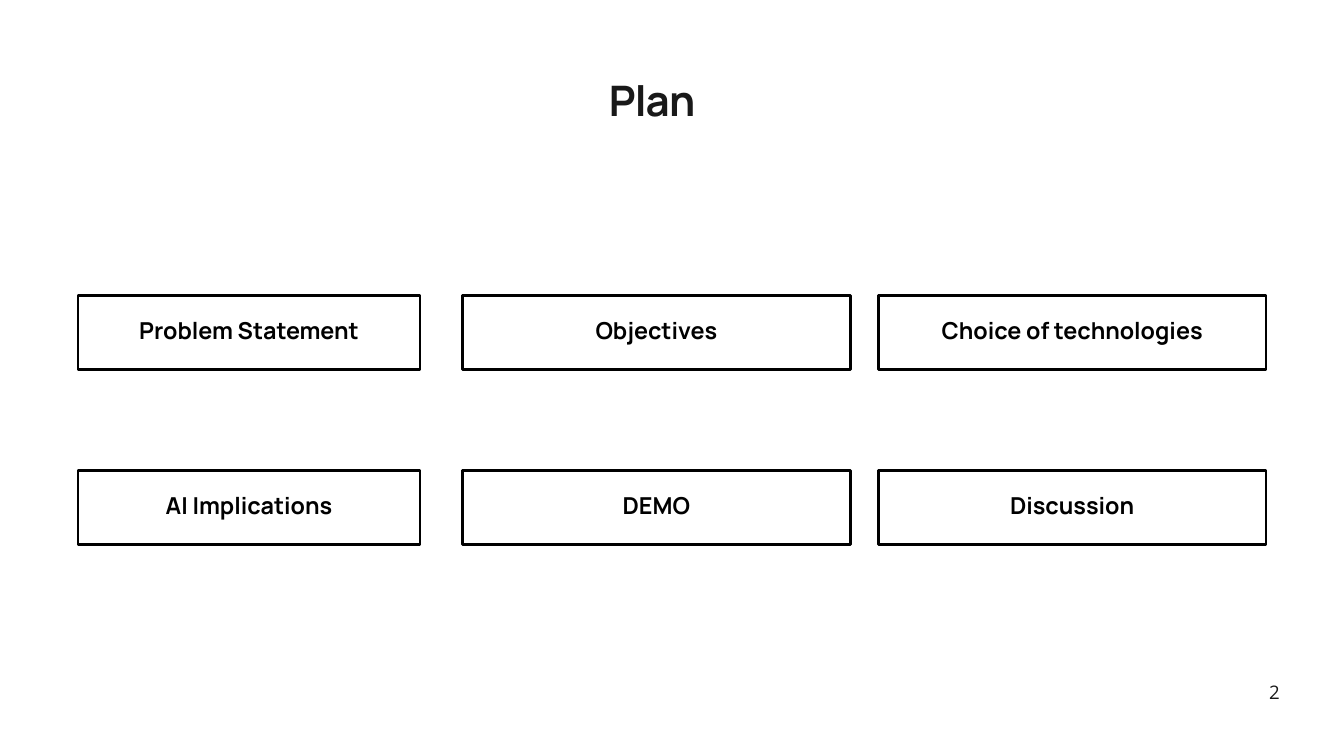
import pptx
import pptx.util
import pptx.dml.color
import pptx.enum.shapes
import pptx.enum.text

Pt = pptx.util.Pt
RGBColor = pptx.dml.color.RGBColor
PP_ALIGN = pptx.enum.text.PP_ALIGN
MSO_ANCHOR = pptx.enum.text.MSO_ANCHOR

# Content
TITLE = "Plan"
PAGE_NUMBER = "2"
TOPICS = [
    ["Problem Statement", "Objectives", "Choice of technologies"],
    ["AI Implications", "DEMO", "Discussion"],
]

# Layout, in points
COLUMNS = [(83.5, 366.5), (495.5, 415.5), (941, 415.5)]  # left, width
FIRST_ROW_TOP = 316.8
ROW_STEP = 187.2
BOX_HEIGHT = 79.2
BOX_INSET = 4.5
TEXT_LIFT = 5.7  # extra bottom inset that raises the box labels

DARK = RGBColor(0x19, 0x19, 0x19)
BLACK = RGBColor(0, 0, 0)


def set_text(sp, text, font, size, color, line, bold=False, align=PP_ALIGN.CENTER,
             insets=(0, 0, 0, 0), wrap=True):
    tf = sp.text_frame
    tf.text = text
    tf.word_wrap = wrap
    tf.margin_left, tf.margin_top, tf.margin_right, tf.margin_bottom = map(Pt, insets)
    p = tf.paragraphs[0]
    p.alignment = align
    p.line_spacing = Pt(line)
    r = p.runs[0]
    r.font.name = font
    r.font.size = Pt(size)
    r.font.bold = bold
    r.font.color.rgb = color
    return r


prs = pptx.Presentation()
prs.slide_width, prs.slide_height = Pt(1440), Pt(810)
s = prs.slides.add_slide(prs.slide_layouts[6])

# Title
sp = s.shapes.add_textbox(Pt(652.3), Pt(71.3), Pt(102.2), Pt(64))
r = set_text(sp, TITLE, "Manrope", 45, DARK, 63, bold=True, align=PP_ALIGN.LEFT)
r.font._element.set("spc", "-90")

# Page number
sp = s.shapes.add_textbox(Pt(1359.4), Pt(725), Pt(12.2), Pt(15.8))
set_text(sp, PAGE_NUMBER, "Open Sans", 20, DARK, 28, wrap=False)

# Topic boxes
for row, topics in enumerate(TOPICS):
    top = FIRST_ROW_TOP + row * ROW_STEP
    for (left, width), topic in zip(COLUMNS, topics):
        sp = s.shapes.add_shape(pptx.enum.shapes.MSO_SHAPE.RECTANGLE,
                                Pt(left), Pt(top), Pt(width), Pt(BOX_HEIGHT))
        sp.shadow.inherit = False
        sp.fill.background()
        sp.line.color.rgb = BLACK
        sp.line.width = Pt(3)
        sp.text_frame.vertical_anchor = MSO_ANCHOR.MIDDLE
        set_text(sp, topic, "Manrope", 25, BLACK, 30, bold=True,
                 insets=(BOX_INSET, BOX_INSET, BOX_INSET, BOX_INSET + TEXT_LIFT))

prs.save("out.pptx")
